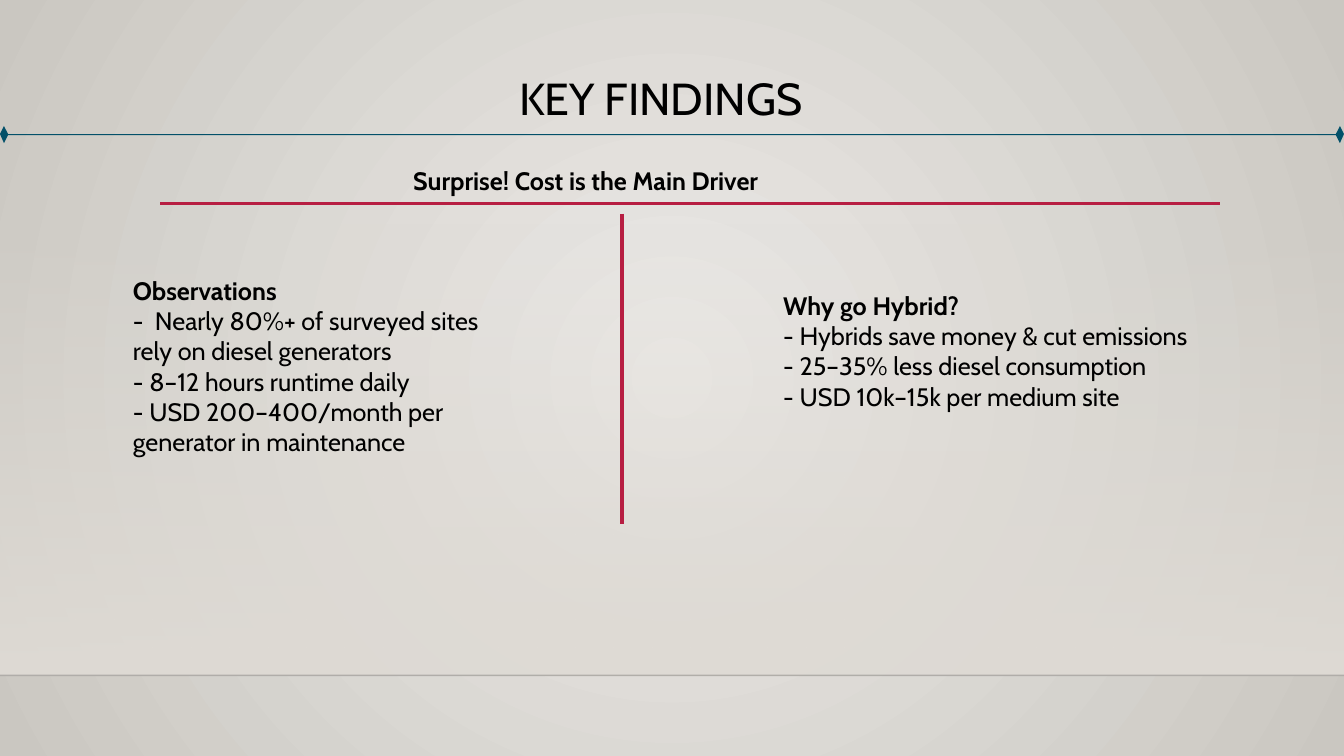
from dataclasses import dataclass

from pptx import Presentation
from pptx.dml.color import RGBColor
from pptx.enum.shapes import MSO_CONNECTOR, MSO_SHAPE
from pptx.oxml import parse_xml
from pptx.oxml.ns import nsdecls, qn
from pptx.util import Emu, Pt

PX = 9144  # 100 px to the inch
WIDTH, HEIGHT = 1333, 750
FONT = "Cabin"
BLACK, RED, TEAL, SAND = "000000", "B71E42", "035069", "DFDBD5"
STRAIGHT, RECTANGLE = MSO_CONNECTOR.STRAIGHT, MSO_SHAPE.RECTANGLE


@dataclass
class Rule:
    start: tuple[int, int]
    end: tuple[int, int]
    color: str
    points: float
    opacity: int = 100


@dataclass
class TextBlock:
    left: int
    top: int
    width: int
    height: int
    heading: str
    lines: tuple[str, ...] = ()
    size: int = 18
    bold: bool = True
    inset: bool = True
    tracking: int = 0


FLOOR_EDGE = Rule((0, 670), (WIDTH, 670), "000001", 1, 20)
RED_RULES = [
    Rule((159, 202), (1210, 202), RED, 2.5),
    Rule((617, 212), (617, 520), RED, 3),
]
TEXT_BLOCKS = [
    TextBlock(515, 69, 819, 55, "KEY FINDINGS", size=32, bold=False, inset=False, tracking=-10),
    TextBlock(400, 159, 1033, 40, "Surprise! Cost is the Main Driver"),
    TextBlock(122, 268, 392, 252, "Observations", (
        "-  Nearly 80%+ of surveyed sites rely on diesel generators",
        "- 8–12 hours runtime daily",
        "- USD 200–400/month per generator in maintenance",
    )),
    TextBlock(767, 283, 633, 131, "Why go Hybrid?", (
        "- Hybrids save money & cut emissions",
        "- 25–35% less diesel consumption",
        "- USD 10k–15k per medium site",
    )),
]


def px(length: int) -> Emu:
    return Emu(length * PX)


def rgb(value: str) -> RGBColor:
    return RGBColor.from_string(value)


def set_opacity(color_element, percent: int) -> None:
    alpha = color_element.makeelement(qn("a:alpha"), {"val": str(percent * 1000)})
    color_element.append(alpha)


def paint_background(page) -> None:
    background = parse_xml(
        f'<p:bg {nsdecls("p", "a")}><p:bgPr><a:gradFill rotWithShape="1"><a:gsLst>'
        '<a:gs pos="0"><a:srgbClr val="ECEAE7"/></a:gs>'
        '<a:gs pos="100000"><a:srgbClr val="CAC7C1"/></a:gs></a:gsLst>'
        '<a:path path="circle"><a:fillToRect l="50000" t="50000" r="50000" b="50000"/></a:path>'
        "</a:gradFill><a:effectLst/></p:bgPr></p:bg>"
    )
    page.element.cSld.insert(0, background)


def add_wall_fade(page) -> None:
    wall = page.shapes.add_shape(RECTANGLE, 0, px(221), px(WIDTH), px(449))
    wall.shadow.inherit = False
    wall.line.fill.background()
    wall.fill.gradient()
    wall.fill.gradient_angle = 270
    for stop, position in zip(wall.fill.gradient_stops, (0, 1)):
        stop.color.rgb = rgb(SAND)
        stop.position = position
    first_color = next(wall.element.spPr.iter(qn("a:srgbClr")))
    set_opacity(first_color, 0)


def add_rule(page, rule: Rule) -> None:
    line = page.shapes.add_connector(STRAIGHT, *map(px, rule.start + rule.end))
    line.line.color.rgb = rgb(rule.color)
    line.line.width = Pt(rule.points)
    properties = line.element.spPr
    if rule.opacity < 100:
        set_opacity(next(properties.iter(qn("a:srgbClr"))), rule.opacity)
    properties.append(properties.makeelement(qn("a:effectLst"), {}))


def add_diamond_rule(page) -> None:
    upper = [(0, 133), (4, 125), (8, 133), (1325, 133), (1329, 125), (WIDTH, 133)]
    lower = [(1329, 142), (1325, 134), (8, 134), (4, 142)]
    outline = upper + lower
    builder = page.shapes.build_freeform(*outline[0], scale=PX)
    builder.add_line_segments(outline[1:], close=True)
    divider = builder.convert_to_shape()
    divider.shadow.inherit = False
    divider.fill.solid()
    divider.fill.fore_color.rgb = rgb(TEAL)
    divider.line.fill.background()


def add_text(page, block: TextBlock) -> None:
    box = page.shapes.add_textbox(px(block.left), px(block.top), px(block.width), px(block.height))
    frame = box.text_frame
    frame.word_wrap = True
    if not block.inset:
        frame.margin_left = frame.margin_right = frame.margin_bottom = 0
        frame.margin_top = px(1)
    frame.text = "\n".join((block.heading, *block.lines))
    for index, para in enumerate(frame.paragraphs):
        for span in para.runs:
            span.font.name = FONT
            span.font.size = Pt(block.size)
            span.font.bold = block.bold and index == 0
            span.font.color.rgb = rgb(BLACK)
            if block.tracking:
                span.font._element.set("spc", str(block.tracking))


def main() -> None:
    deck = Presentation()
    deck.slide_width, deck.slide_height = px(WIDTH), px(HEIGHT)
    page = deck.slides.add_slide(deck.slide_layouts[6])

    # Backdrop
    paint_background(page)
    add_wall_fade(page)
    add_rule(page, FLOOR_EDGE)

    # Dividers
    add_diamond_rule(page)
    for rule in RED_RULES:
        add_rule(page, rule)

    # Title, subtitle and the two columns
    for block in TEXT_BLOCKS:
        add_text(page, block)

    deck.save("out.pptx")


if __name__ == "__main__":
    main()
